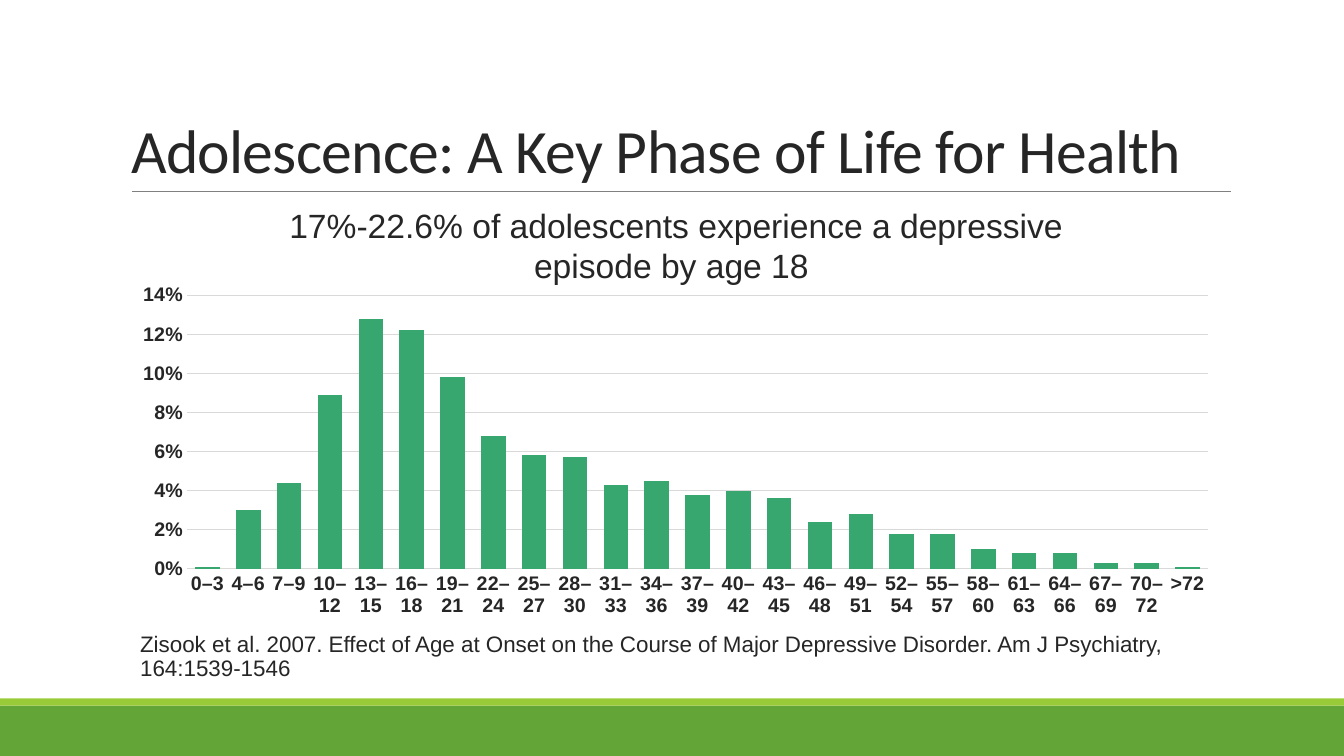
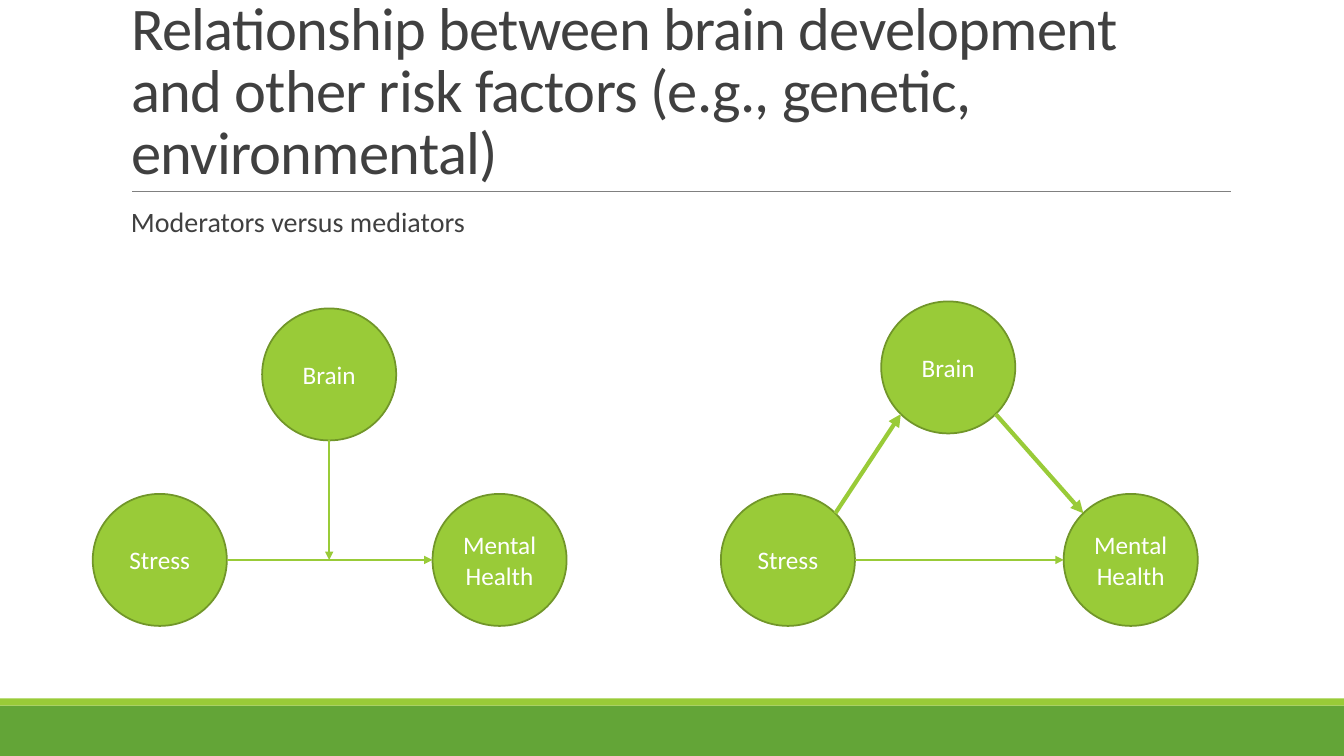
from math import sqrt

from lxml.etree import SubElement
from pptx import Presentation
from pptx.chart.data import CategoryChartData
from pptx.dml.color import RGBColor
from pptx.enum.chart import XL_CHART_TYPE, XL_TICK_MARK
from pptx.enum.shapes import MSO_CONNECTOR, MSO_SHAPE
from pptx.enum.text import MSO_ANCHOR, MSO_AUTO_SIZE, PP_ALIGN
from pptx.oxml.ns import qn
from pptx.util import Inches, Pt

GREEN, LIME, LIME_EDGE, CHART_GREEN = "63A537", "99CB38", "719629", "37A76F"
INK, SOFT_INK, RULE, GRID, WHITE = "262626", "404040", "808080", "D9D9D9", "FFFFFF"

SLIDE_WIDTH, SLIDE_HEIGHT = 13.33, 7.5
TITLE_BOX = (1.2, 0.31, 11, 1.59)
TITLE_ONLY = 5
CIRCLE_WIDTH, CIRCLE_HEIGHT = 1.33, 1.31
DIAGONAL = sqrt(0.5)

AGES = [f"{first}–{first + 2}" for first in range(4, 71, 3)]
AGE_GROUPS = ["0–3", *AGES, ">72"]
ONSET_SHARES = [
    0.001, 0.03, 0.044, 0.089, 0.128, 0.122, 0.098, 0.068, 0.058, 0.057, 0.043, 0.045, 0.038,
    0.04, 0.036, 0.024, 0.028, 0.018, 0.018, 0.01, 0.008, 0.008, 0.003, 0.003, 0.001,
]


def color(value):
    """Return the colour for a hex string."""
    return RGBColor.from_string(value)


def lengths(box):
    """Return a box given in inches as lengths."""
    return [Inches(value) for value in box]


def apply_format(target, values):
    """Set each named attribute on the target."""
    for name, value in values.items():
        setattr(target, name, value)


def format_font(font, size, hex_color, name="Calibri", bold=False):
    """Set the typeface, size, weight and colour of a font."""
    apply_format(font, {"name": name, "size": Pt(size), "bold": bold})
    font.color.rgb = color(hex_color)


def add_filled_shape(slide, kind, box, fill, edge=None):
    """Add a flat preset shape with an optional outline."""
    shape = slide.shapes.add_shape(kind, *lengths(box))
    shape.shadow.inherit = False
    shape.fill.solid()
    shape.fill.fore_color.rgb = color(fill)
    if edge:
        shape.line.color.rgb = color(edge)
        shape.line.width = Pt(1.25)
    else:
        shape.line.fill.background()
    return shape


def add_line(slide, start, end, hex_color, width, arrow=False):
    """Add a straight line between two points, with an arrowhead on request."""
    line = slide.shapes.add_connector(MSO_CONNECTOR.STRAIGHT, *lengths(start + end))
    line.line.color.rgb = color(hex_color)
    line.line.width = Pt(width)
    properties = line._element.spPr
    if arrow:
        SubElement(properties.find(qn("a:ln")), qn("a:tailEnd"), type="triangle")
    SubElement(properties, qn("a:effectLst"))


def add_text(slide, box, text, font, frame_format=None, paragraph_format=None):
    """Add a wrapped text box with one paragraph."""
    frame = slide.shapes.add_textbox(*lengths(box)).text_frame
    apply_format(frame, {"word_wrap": True, **(frame_format or {})})
    paragraph = frame.paragraphs[0]
    paragraph.text = text
    apply_format(paragraph, paragraph_format or {})
    format_font(paragraph.font, **font)


def add_base_slide(presentation, title, size, hex_color):
    """Add a slide with the shared bands, title rule and title."""
    slide = presentation.slides.add_slide(presentation.slide_layouts[TITLE_ONLY])
    for top, height, fill in ((7, 0.5, GREEN), (6.93, 0.07, LIME)):
        add_filled_shape(slide, MSO_SHAPE.RECTANGLE, (0, top, SLIDE_WIDTH, height), fill)
    add_line(slide, (1.31, 1.9), (12.21, 1.9), RULE, 0.5)

    placeholder = slide.shapes.title
    apply_format(placeholder, dict(zip(("left", "top", "width", "height"), lengths(TITLE_BOX))))
    frame = placeholder.text_frame
    frame.text = title
    apply_format(frame, {
        "word_wrap": True,
        "auto_size": MSO_AUTO_SIZE.NONE,
        "vertical_anchor": MSO_ANCHOR.BOTTOM,
    })
    paragraph = frame.paragraphs[0]
    apply_format(paragraph, {"alignment": PP_ALIGN.LEFT, "line_spacing": 0.85})
    run = paragraph.runs[0]
    format_font(run.font, size, hex_color)
    run._r.get_or_add_rPr().set("spc", "-50")
    return slide


def add_onset_chart(slide, box):
    """Add the column chart of age at onset."""
    data = CategoryChartData(number_format="0%")
    data.categories = AGE_GROUPS
    data.add_series("Series 1", ONSET_SHARES)
    chart = slide.shapes.add_chart(XL_CHART_TYPE.COLUMN_CLUSTERED, *lengths(box), data).chart
    apply_format(chart, {"has_legend": False, "has_title": False})
    format_font(chart.font, 14, INK, "Arial", True)

    plot = chart.plots[0]
    apply_format(plot, {"gap_width": 67, "overlap": 33, "vary_by_categories": False})
    fill = plot.series[0].format.fill
    fill.solid()
    fill.fore_color.rgb = color(CHART_GREEN)

    for axis in (chart.category_axis, chart.value_axis):
        apply_format(axis, {
            "major_tick_mark": XL_TICK_MARK.NONE,
            "minor_tick_mark": XL_TICK_MARK.NONE,
        })
        axis.format.line.fill.background()
        format_font(axis.tick_labels.font, 14, INK, "Arial", True)
    value_axis = chart.value_axis
    apply_format(value_axis, {"minimum_scale": 0, "maximum_scale": 0.14, "major_unit": 0.02})
    apply_format(value_axis.tick_labels, {"number_format": "0%", "number_format_is_linked": False})
    grid = value_axis.major_gridlines.format.line
    grid.color.rgb = color(GRID)
    grid.width = Pt(0.75)


def add_circle(slide, left, top, label):
    """Add a labelled circle and return its centre."""
    box = (left, top, CIRCLE_WIDTH, CIRCLE_HEIGHT)
    frame = add_filled_shape(slide, MSO_SHAPE.OVAL, box, LIME, LIME_EDGE).text_frame
    apply_format(frame, {"word_wrap": True, "vertical_anchor": MSO_ANCHOR.MIDDLE})
    paragraph = frame.paragraphs[0]
    paragraph.text = label
    paragraph.alignment = PP_ALIGN.CENTER
    format_font(paragraph.font, 18, WHITE)
    return left + CIRCLE_WIDTH / 2, top + CIRCLE_HEIGHT / 2


def edge_point(center, across, down):
    """Return a point on a circle's edge in a direction from its centre."""
    return center[0] + across * CIRCLE_WIDTH / 2, center[1] + down * CIRCLE_HEIGHT / 2


def add_factor_diagram(slide, box, brain_offset, mediates):
    """Add a brain, stress and mental health diagram inside a box."""
    left, top, width, height = box
    base = top + height - CIRCLE_HEIGHT
    stress = add_circle(slide, left, base, "Stress")
    health = add_circle(slide, left + width - CIRCLE_WIDTH, base, "Mental Health")
    brain = add_circle(slide, left + brain_offset, top, "Brain")
    arrows = [(edge_point(stress, 1, 0), edge_point(health, -1, 0), 1)]
    if mediates:
        arrows += [
            (edge_point(stress, DIAGONAL, -DIAGONAL), edge_point(brain, -DIAGONAL, DIAGONAL), 3),
            (edge_point(brain, DIAGONAL, DIAGONAL), edge_point(health, -DIAGONAL, -DIAGONAL), 3),
        ]
    else:
        arrows.append((edge_point(brain, 0, 1), (brain[0], stress[1]), 1))
    for start, end, width in arrows:
        add_line(slide, start, end, LIME, width, arrow=True)


def build_onset_slide(presentation):
    """Build the slide on age at onset of depression."""
    slide = add_base_slide(presentation, "Adolescence: A Key Phase of Life for Health", 44, INK)
    add_text(
        slide, (1.39, 6.23, 11, 0.64),
        "Zisook et al. 2007. Effect of Age at Onset on the Course of Major Depressive Disorder. "
        "Am J Psychiatry, 164:1539-1546",
        {"size": 16, "hex_color": INK, "name": "Arial"},
        {"margin_left": 0, "margin_right": 0}, {"line_spacing": 0.9},
    )
    add_text(
        slide, (2.49, 1.98, 8.43, 0.91),
        "17%-22.6% of adolescents experience a depressive episode by age 18 ",
        {"size": 24, "hex_color": INK, "name": "Arial"},
        paragraph_format={"alignment": PP_ALIGN.CENTER},
    )
    add_onset_chart(slide, (1.2, 2.75, 11, 3.44))


def build_factors_slide(presentation):
    """Build the slide that sets a moderator beside a mediator."""
    slide = add_base_slide(
        presentation,
        "Relationship between brain development and other risk factors "
        "(e.g., genetic, environmental)",
        43.2, SOFT_INK,
    )
    add_text(
        slide, (1.2, 2.02, 11, 0.5), "Moderators versus mediators",
        {"size": 20, "hex_color": SOFT_INK},
        {"margin_right": 0}, {"line_spacing": 0.9},
    )
    add_factor_diagram(slide, (0.92, 3.06, 4.7, 3.15), 1.68, mediates=False)
    add_factor_diagram(slide, (7.15, 2.99, 4.73, 3.22), 1.59, mediates=True)


def main():
    """Build and save the presentation."""
    presentation = Presentation()
    presentation.slide_width = Inches(SLIDE_WIDTH)
    presentation.slide_height = Inches(SLIDE_HEIGHT)
    build_onset_slide(presentation)
    build_factors_slide(presentation)
    presentation.save("out.pptx")


if __name__ == "__main__":
    main()
